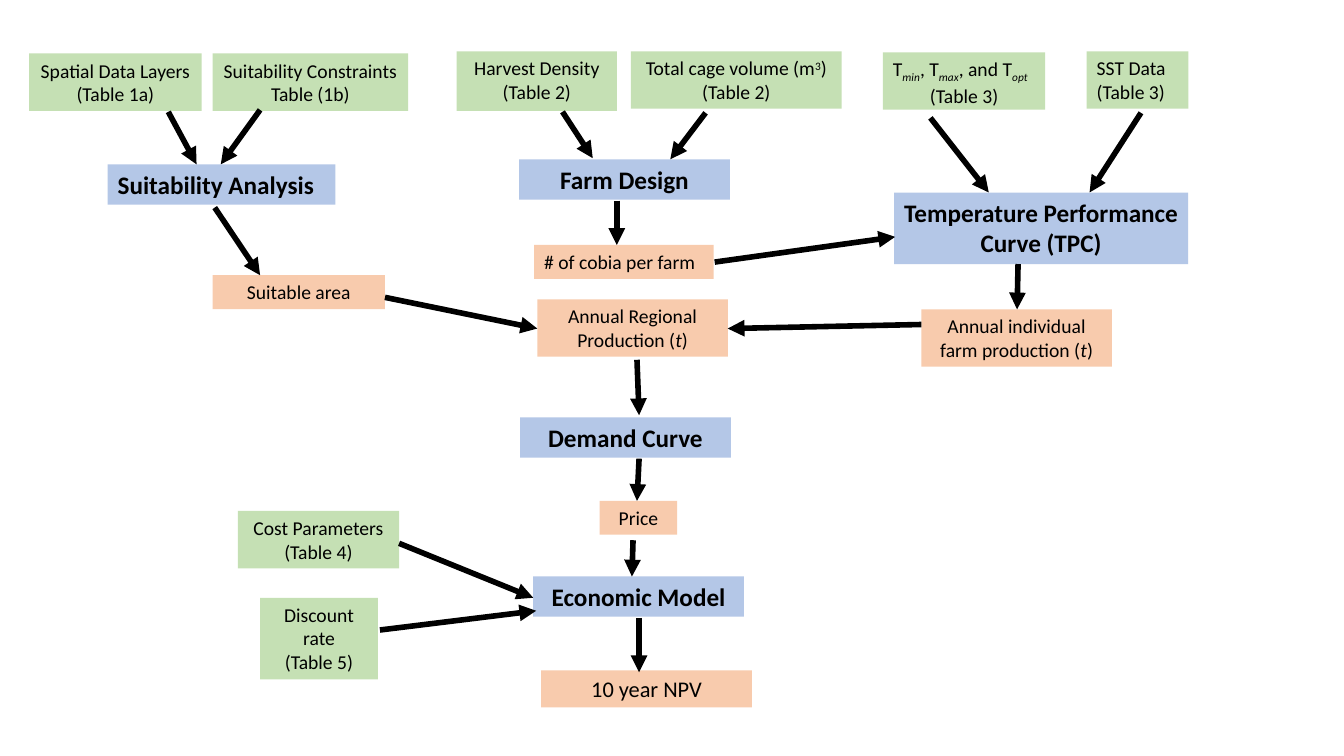
"""Build the aquaculture model flow chart slide."""
from dataclasses import dataclass
from itertools import cycle
from typing import NamedTuple

from lxml import etree
from pptx import Presentation
from pptx.dml.color import RGBColor
from pptx.enum import shapes, text
from pptx.oxml import ns
from pptx.util import Pt

COLOURS = {"input": "C5E0B4", "model": "B4C7E7", "output": "F8CBAD", "ink": "000000"}
ALIGNMENTS = {"l": text.PP_ALIGN.LEFT, "c": text.PP_ALIGN.CENTER}
BASELINES = {"_": "-25000", "^": "30000"}
ITALIC_MARKS = "_*"
MARKS = "_^*"


@dataclass
class Step:
    role: str
    left: float
    top: float
    width: float
    height: float
    wording: str
    alignment: str = "c"
    size: int = 14


class Flow(NamedTuple):
    x1: float
    y1: float
    x2: float
    y2: float


STEPS = [
    Step("input", 20.9, 38.2, 123.1, 41, "Spatial Data Layers\n(Table 1a)"),
    Step("input", 151.9, 38.2, 139.7, 41, "Suitability Constraints\nTable (1b)"),
    Step("input", 326.2, 36.7, 114.5, 42.5, "Harvest Density\n(Table 2)"),
    Step("input", 450.7, 36.7, 150.5, 41, "Total cage volume (m|^3|)\n(Table 2)"),
    Step("input", 630.7, 37.4, 115.9, 41, "T|_min|, T|_max|, and T|_opt\n(Table 3)", "lc"),
    Step("input", 776.2, 36.7, 72.7, 41, "SST Data\n(Table 3)", "l"),
    Step("input", 169.9, 365, 115.2, 41, "Cost Parameters\n(Table 4)"),
    Step("input", 185.8, 427, 84.2, 58.3, "Discount rate\n(Table 5)"),
    Step("model", 77, 117.4, 162.7, 28.8, "Suitability Analysis", "l", 18),
    Step("model", 370.8, 113.8, 150.5, 28.8, "Farm Design", size=18),
    Step("model", 638.6, 137.5, 210.2, 51.1, "Temperature Performance Curve (TPC)", size=18),
    Step("model", 371.5, 298.1, 150.5, 28.8, "Demand Curve", size=18),
    Step("model", 380.9, 411.8, 150.5, 28.8, "Economic Model", size=18),
    Step("output", 151.9, 196.6, 123.1, 24.2, "Suitable area"),
    Step("output", 381.6, 175, 128.2, 24.2, "# of cobia per farm", "l"),
    Step("output", 658.1, 221, 136.1, 41, "Annual individual farm production (|*t|)"),
    Step("output", 383.8, 213.8, 136.1, 41, "Annual Regional Production (|*t|)"),
    Step("output", 428.4, 357.8, 55.4, 24.2, "Price"),
    Step("output", 386.6, 478.8, 150.5, 26.6, "10 year NPV", size=16),
]

FLOWS = [
    Flow(120.2, 79.9, 140.4, 117.4),
    Flow(185.8, 78.5, 157.7, 117.4),
    Flow(153.4, 148.3, 185.8, 196.6),
    Flow(275, 212.4, 383.8, 234.7),
    Flow(401.8, 79.9, 423.4, 113),
    Flow(504, 80.6, 478.8, 113.8),
    Flow(440.6, 143.3, 440.6, 175),
    Flow(510.5, 187.2, 639.4, 169.2),
    Flow(664.6, 84.2, 706.3, 137.5),
    Flow(815, 80.6, 778.3, 137.5),
    Flow(727.2, 188.6, 726.5, 221),
    Flow(658.1, 231.8, 519.8, 234.7),
    Flow(455, 257, 456.5, 296.6),
    Flow(456.5, 327.6, 455, 357.8),
    Flow(452.2, 385.9, 451.4, 411.8),
    Flow(285.1, 388.1, 380.9, 427),
    Flow(271.4, 450, 383, 436.3),
    Flow(456.5, 441.4, 456.5, 480.2),
]


def colour(name: str) -> RGBColor:
    """Look up a named colour."""
    return RGBColor.from_string(COLOURS[name])


def write_piece(paragraph, piece: str, step: Step) -> None:
    """Add one run, styled by its leading mark if it has one."""
    mark = piece[0] if piece[0] in MARKS else ""
    run = paragraph.add_run()
    run.text = piece[len(mark):]
    run.font.name = "Calibri"
    run.font.size = Pt(step.size)
    run.font.bold = step.role == "model"
    run.font.color.rgb = colour("ink")
    if mark:
        run.font.italic = mark in ITALIC_MARKS
    if mark in BASELINES:
        run.font._element.set("baseline", BASELINES[mark])


def draw_step(slide, step: Step) -> None:
    """Draw a filled box with its wording."""
    box = slide.shapes.add_textbox(
        Pt(step.left), Pt(step.top), Pt(step.width), Pt(step.height)
    )
    box.fill.solid()
    box.fill.fore_color.rgb = colour(step.role)
    frame = box.text_frame
    frame.word_wrap = True
    frame.auto_size = text.MSO_AUTO_SIZE.SHAPE_TO_FIT_TEXT
    lines = step.wording.split("\n")
    for _ in lines[1:]:
        frame.add_paragraph()
    for paragraph, line, side in zip(frame.paragraphs, lines, cycle(step.alignment)):
        paragraph.alignment = ALIGNMENTS[side]
        for piece in line.split("|"):
            write_piece(paragraph, piece, step)


def draw_flow(slide, flow: Flow) -> None:
    """Draw a thick arrow between two steps."""
    arrow = slide.shapes.add_connector(
        shapes.MSO_CONNECTOR.STRAIGHT, *(Pt(length) for length in flow)
    )
    arrow.line.width = Pt(4)
    arrow.line.color.rgb = colour("ink")
    etree.SubElement(arrow.line._get_or_add_ln(), ns.qn("a:tailEnd"), type="triangle")
    etree.SubElement(arrow._element.spPr, ns.qn("a:effectLst"))


def main() -> None:
    """Build and save the slide."""
    deck = Presentation()
    deck.slide_width, deck.slide_height = Pt(960), Pt(540)
    slide = deck.slides.add_slide(deck.slide_layouts[6])
    for step in STEPS:
        draw_step(slide, step)
    for flow in FLOWS:
        draw_flow(slide, flow)
    deck.save("out.pptx")


if __name__ == "__main__":
    main()
